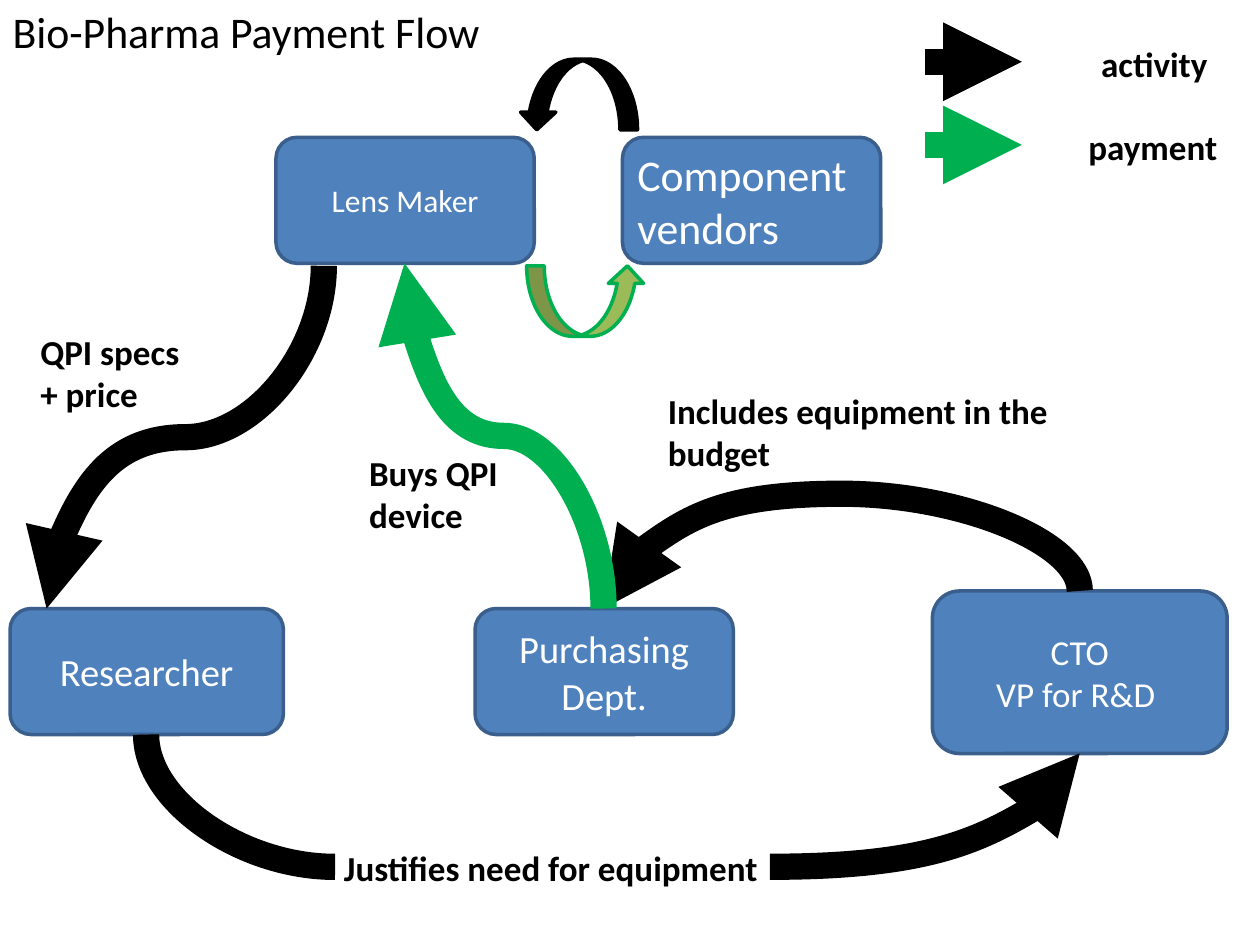
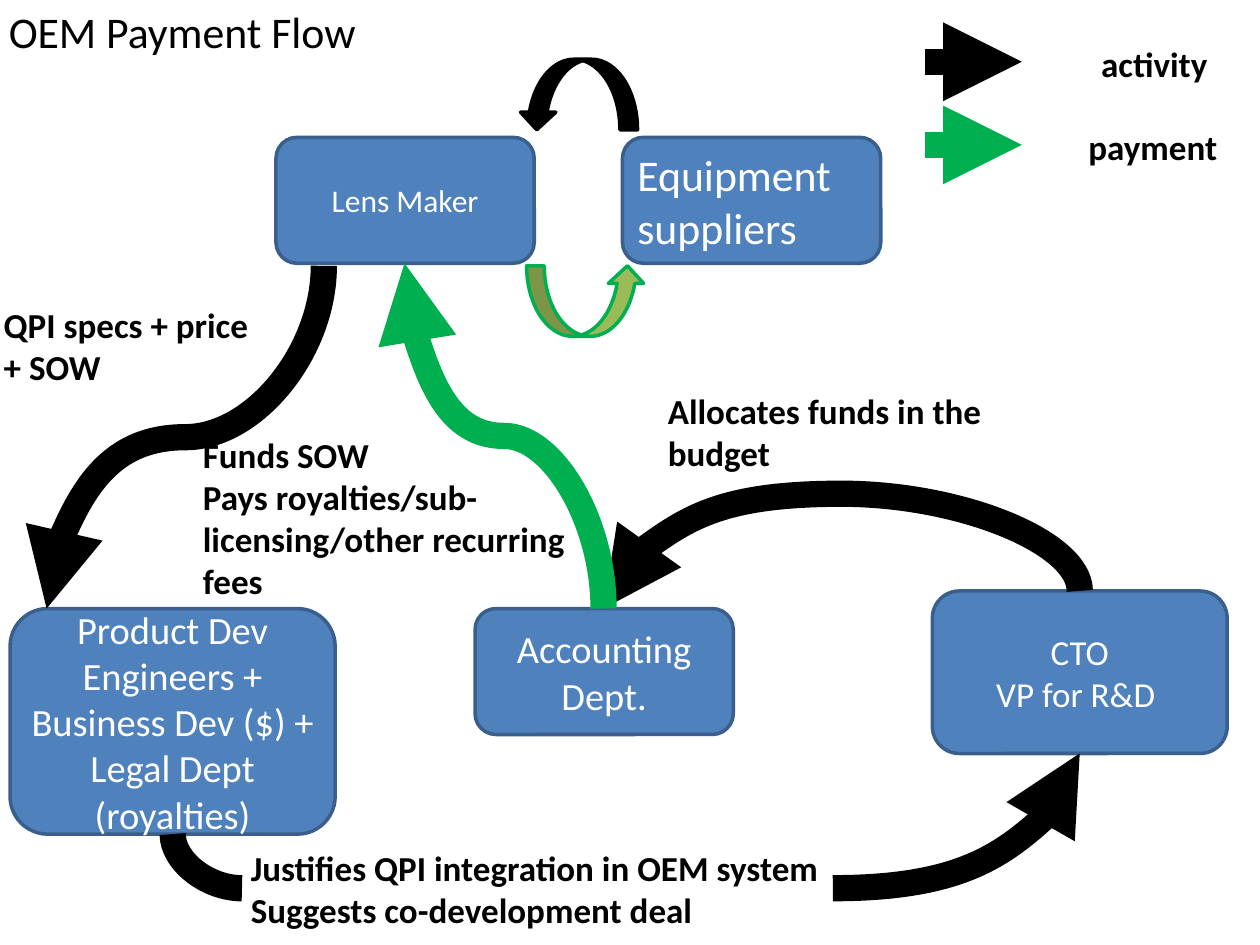
from lxml import etree
from pptx import Presentation
from pptx.dml.color import RGBColor
from pptx.enum.shapes import MSO_CONNECTOR as CONNECTOR, MSO_SHAPE as SHAPE
from pptx.enum.text import MSO_ANCHOR as ANCHOR, MSO_AUTO_SIZE as AUTO_SIZE, PP_ALIGN as ALIGN
from pptx.oxml.ns import qn
from pptx.util import Pt

PX = 9144  # 100 px to the inch
BLACK, WHITE, GREEN = "000000", "FFFFFF", "00B050"
BOX_FILL, BOX_LINE, OLIVE = "4F81BD", "3A5F8C", "9BBB59"
rgb = RGBColor.from_string


def write_text(shape, text, size=20, color=BLACK, bold=False, align=ALIGN.LEFT,
               anchor=ANCHOR.TOP, wrap=True, grow=False, inset=(7, 4)):
    frame = shape.text_frame
    frame.word_wrap = wrap
    frame.auto_size = AUTO_SIZE.SHAPE_TO_FIT_TEXT if grow else AUTO_SIZE.NONE
    frame.vertical_anchor = anchor
    frame.margin_left = frame.margin_right = inset[0] * PX
    frame.margin_top = frame.margin_bottom = inset[1] * PX
    frame.text = text
    for paragraph in frame.paragraphs:
        paragraph.alignment = align
        font = paragraph.font
        font.name, font.size, font.bold = "Calibri", Pt(size), bold
        font.color.rgb = rgb(color)


def draw_arrow(slide, start, end, color=BLACK, preset="line", rotation=0,
               flips=(), bend=None, head=True):
    """Join two points; a quarter turn swaps the sides of the frame about its centre."""
    width, height = abs(end[0] - start[0]), abs(end[1] - start[1])
    center_x, center_y = (start[0] + end[0]) / 2, (start[1] + end[1]) / 2
    if rotation in (90, 270):
        width, height = height, width
    left, top = center_x - width / 2, center_y - height / 2
    corners = [int(v * PX) for v in (left, top, left + width, top + height)]
    connector = slide.shapes.add_connector(CONNECTOR.STRAIGHT, *corners)
    connector.line.color.rgb = rgb(color)
    connector.line.width = Pt(15)

    properties = connector.element.spPr
    frame = properties.find(qn("a:xfrm"))
    if rotation:
        frame.set("rot", str(rotation * 60000))
    for flip in flips:
        frame.set(flip, "1")
    geometry = properties.find(qn("a:prstGeom"))
    geometry.set("prst", preset)
    if bend is not None:
        guide = etree.SubElement(geometry.find(qn("a:avLst")), qn("a:gd"))
        guide.set("name", "adj1")
        guide.set("fmla", f"val {bend}")
    if head:
        tail = etree.SubElement(properties.find(qn("a:ln")), qn("a:tailEnd"))
        tail.set("type", "triangle")
    etree.SubElement(properties, qn("a:effectLst"))


flows = [
    {
        "title": ("Bio-Pharma Payment Flow", (3, 0, 389, 49)),
        "suppliers": "Component vendors",
        "payer": "Purchasing Dept.",
        "requester": ("Researcher", (8, 483, 217, 100)),
        # text, frame, wraps
        "labels": [
            ("Justifies need for equipment", (266, 668, 345, 41), False),
            ("Includes equipment in the budget", (523, 305, 328, 74), True),
            ("QPI specs\n+ price", (25, 258, 125, 74), False),
            ("Buys QPI\ndevice", (286, 354, 117, 74), False),
        ],
        "request": [(116, 583), (266, 688), (611, 688)],
    },
    {
        "title": ("OEM Payment Flow", (0, 0, 293, 49)),
        "suppliers": "Equipment suppliers",
        "payer": "Accounting Dept.",
        "requester": ("Product Dev Engineers + Business Dev ($) + Legal Dept (royalties)",
                      (8, 483, 258, 179)),
        "labels": [
            ("Justifies QPI integration in OEM system\nSuggests co-development deal",
             (192, 668, 469, 74), False),
            ("Allocates funds in the budget", (523, 305, 328, 74), True),
            ("QPI specs + price\n+ SOW", (-4, 237, 210, 74), False),
            ("Funds SOW\nPays royalties/sub-licensing/other recurring fees",
             (154, 340, 328, 142), True),
        ],
        "request": [(137, 662), (192, 705), (661, 705)],
    },
]
legend = [("activity", BLACK, 49, (864, 29, 105, 44)),
          ("payment", GREEN, 115, (854, 95, 124, 44))]
loop_arrows = [((418, 211, 94, 56), 0, OLIVE, GREEN),
               ((412, 47, 94, 56), 180, BLACK, BLACK)]

presentation = Presentation()
presentation.slide_width, presentation.slide_height = 1000 * PX, 750 * PX

for flow in flows:
    slide = presentation.slides.add_slide(presentation.slide_layouts[6])
    shapes = slide.shapes

    boxes = [
        ("Lens Maker", (219, 109, 205, 100), 18, ALIGN.CENTER),
        (flow["suppliers"], (494, 109, 205, 100), 25, ALIGN.LEFT),
        (flow["payer"], (377, 483, 205, 100), 22, ALIGN.CENTER),
        (*flow["requester"], 22, ALIGN.CENTER),
        ("CTO\nVP for R&D ", (740, 469, 234, 129), 20, ALIGN.CENTER),
    ]
    for text, frame, size, align in boxes:
        box = shapes.add_shape(SHAPE.ROUNDED_RECTANGLE, *[v * PX for v in frame])
        box.shadow.inherit = False
        box.fill.solid()
        box.fill.fore_color.rgb = rgb(BOX_FILL)
        box.line.color.rgb = rgb(BOX_LINE)
        box.line.width = Pt(2)
        write_text(box, text, size=size, color=WHITE, align=align, anchor=ANCHOR.MIDDLE)

    for frame, rotation, fill, line in loop_arrows:
        loop = shapes.add_shape(SHAPE.CURVED_UP_ARROW, *[v * PX for v in frame])
        loop.shadow.inherit = False
        loop.rotation = rotation
        loop.fill.solid()
        loop.fill.fore_color.rgb = rgb(fill)
        loop.line.color.rgb = rgb(line)
        loop.line.width = Pt(2)

    requester, label_left, label_right = flow["request"]
    draw_arrow(slide, (257, 211), (37, 483), preset="curvedConnector3",
               rotation=90, bend=50000)
    draw_arrow(slide, requester, label_left, preset="curvedConnector2",
               rotation=270, flips=["flipH"], head=False)
    draw_arrow(slide, label_right, (857, 598), preset="curvedConnector2", flips=["flipV"])
    draw_arrow(slide, (857, 469), (479, 483), preset="curvedConnector3",
               rotation=270, flips=["flipH", "flipV"], bend=-550000)
    draw_arrow(slide, (479, 483), (321, 209), GREEN, preset="curvedConnector3",
               rotation=270, flips=["flipV"], bend=50000)

    for text, color, y, frame in legend:
        draw_arrow(slide, (734, y), (811, y), color)
        label = shapes.add_textbox(*[v * PX for v in frame])
        write_text(label, text, bold=True, wrap=False, grow=True, inset=(10, 5))

    title, frame = flow["title"]
    write_text(shapes.add_textbox(*[v * PX for v in frame]), title, size=25,
               wrap=False, grow=True)
    for text, frame, wrap in flow["labels"]:
        label = shapes.add_textbox(*[v * PX for v in frame])
        write_text(label, text, bold=True, wrap=wrap, grow=True)

presentation.save("out.pptx")
